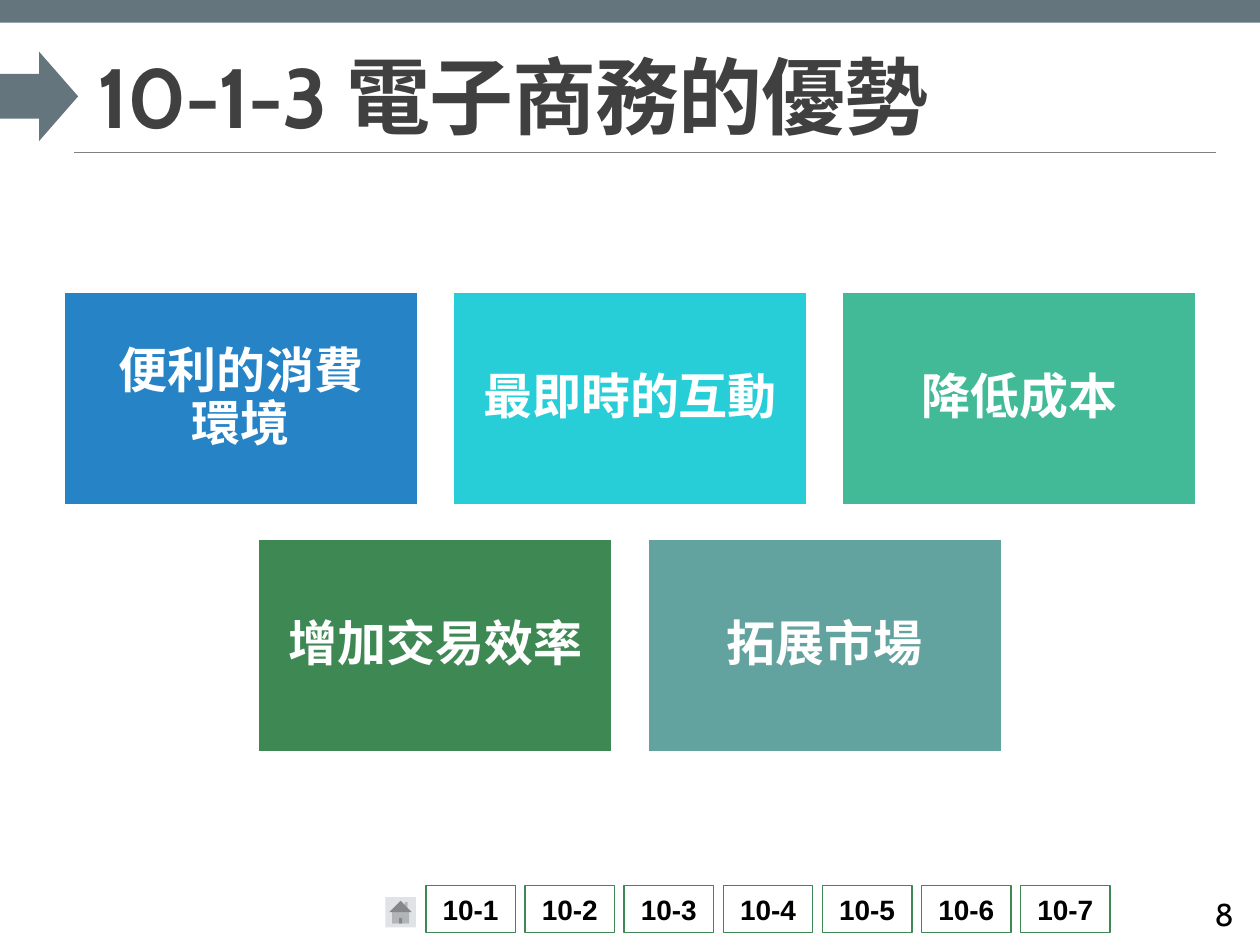
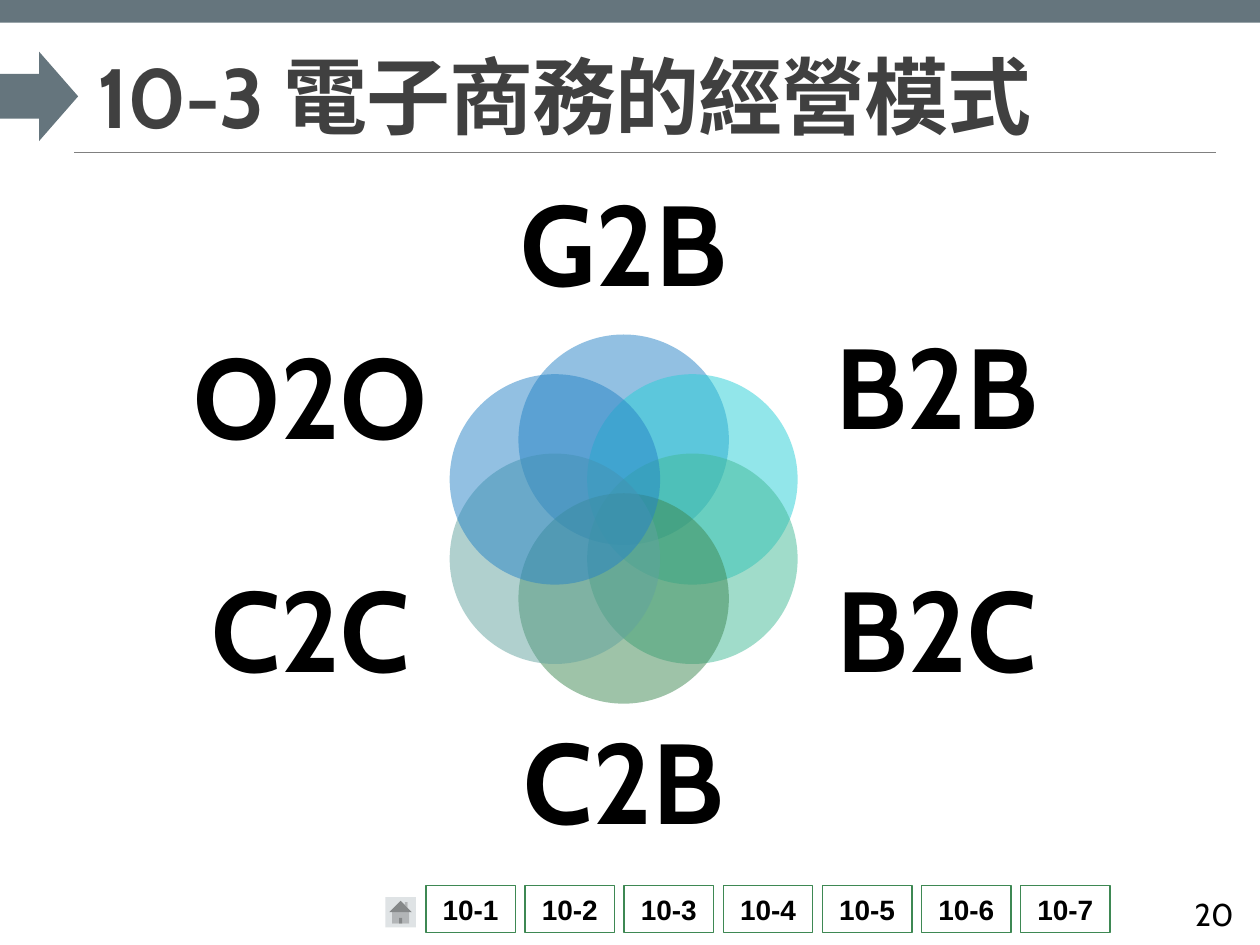
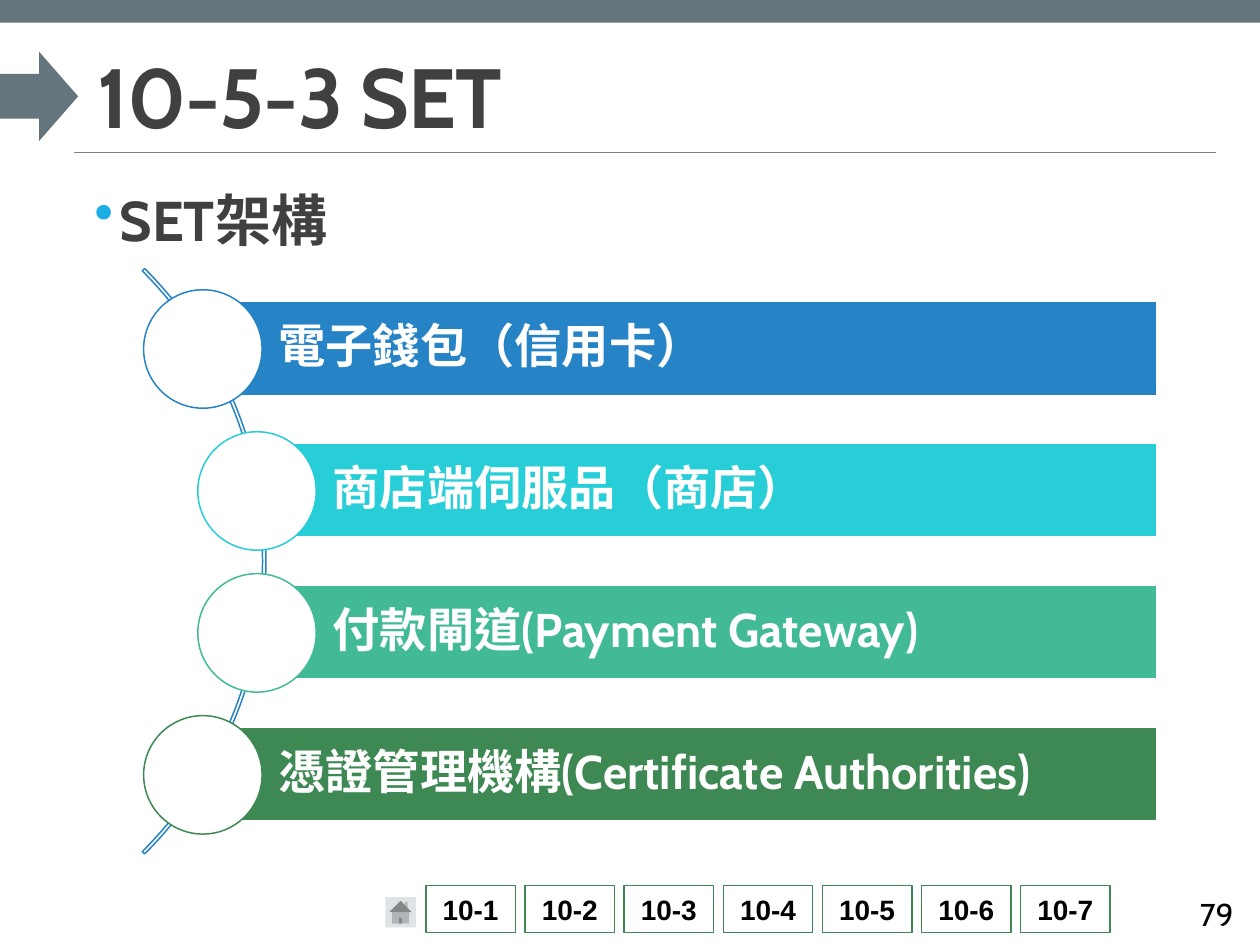
from math import cos, radians, sin

from lxml.etree import SubElement
from pptx import Presentation
from pptx.dml.color import RGBColor
from pptx.enum.shapes import MSO_CONNECTOR, MSO_SHAPE
from pptx.enum.text import MSO_ANCHOR, MSO_AUTO_SIZE, PP_ALIGN
from pptx.oxml.ns import qn
from pptx.util import Inches, Pt

# Colours
BLUE = RGBColor(0x26, 0x83, 0xC6)
CYAN = RGBColor(0x27, 0xCE, 0xD7)
MINT = RGBColor(0x42, 0xBA, 0x97)
GREEN = RGBColor(0x3E, 0x88, 0x53)
TEAL = RGBColor(0x62, 0xA3, 0x9F)
SLATE = RGBColor(0x65, 0x75, 0x7D)
PALE = RGBColor(0xDF, 0xE3, 0xE5)
GREY = RGBColor(0x80, 0x80, 0x80)
DARK = RGBColor(0x40, 0x40, 0x40)
BLACK = RGBColor(0, 0, 0)
WHITE = RGBColor(0xFF, 0xFF, 0xFF)
BULLET = "1CADE4"
ACCENTS = [BLUE, CYAN, MINT, GREEN, TEAL]

# Text formats
TITLE = {"name": "Cabin", "size": Pt(48), "bold": True, "color": DARK}
HEADING = {**TITLE, "size": Pt(32)}
CARD = {**TITLE, "size": Pt(28), "color": WHITE}
BAR = {**CARD, "size": Pt(27)}
MODEL = {**TITLE, "size": Pt(65), "color": BLACK}
NUMBER = {**MODEL, "size": Pt(18), "bold": False}
NAV = {**MODEL, "name": "Arial", "size": Pt(16)}


def inches(*values):
    return [Inches(v) for v in values]


def write(tf, text, style, align=PP_ALIGN.LEFT, anchor=MSO_ANCHOR.MIDDLE,
          insets=(0.1, 0.05, 0.1, 0.05), spacing=None):
    """Fill a text frame with one formatted paragraph."""
    frame = {"word_wrap": True, "auto_size": MSO_AUTO_SIZE.NONE, "vertical_anchor": anchor}
    sides = ("margin_left", "margin_top", "margin_right", "margin_bottom")
    frame.update(zip(sides, inches(*insets)))
    for key, value in frame.items():
        setattr(tf, key, value)
    p = tf.paragraphs[0]
    p.text = text
    p.alignment = align
    if spacing:
        p.line_spacing = spacing
    for r in p.runs:
        for key, value in style.items():
            if key == "color":
                r.font.color.rgb = value
            else:
                setattr(r.font, key, value)
        r.font._element.set("lang", "zh-TW")
    return p


def add_text(s, at, text, style, **options):
    return write(s.shapes.add_textbox(*inches(*at)).text_frame, text, style, **options)


def add_shape(s, kind, at, fill=None, line=None, width=0.85, alpha=None):
    sp = s.shapes.add_shape(kind, *inches(*at))
    sp.shadow.inherit = False
    if fill is None:
        sp.fill.background()
    else:
        sp.fill.solid()
        sp.fill.fore_color.rgb = fill
    if alpha is not None:
        color = sp._element.spPr.find(qn("a:solidFill"))[0]
        SubElement(color, qn("a:alpha"), val=str(alpha * 1000))
    if line is None:
        sp.line.fill.background()
    else:
        sp.line.color.rgb = line
        sp.line.width = Pt(width)
    return sp


def add_rule(s, x1, x2, y):
    rule = s.shapes.add_connector(MSO_CONNECTOR.STRAIGHT, *inches(x1, y, x2, y))
    rule.line.color.rgb = GREY
    rule.line.width = Pt(0.5)
    SubElement(rule._element.spPr, qn("a:effectLst"))


def add_bullet(p):
    pPr = p._p.get_or_add_pPr()
    pPr.set("marL", str(Inches(0.2)))
    pPr.set("indent", str(-Inches(0.2)))
    SubElement(SubElement(pPr, qn("a:buClr")), qn("a:srgbClr"), val=BULLET)
    SubElement(pPr, qn("a:buChar"), char="•")


def add_slide(prs, title, number):
    """Start a slide with the shared band, title, navigation and number."""
    s = prs.slides.add_slide(prs.slide_layouts[5])
    add_rule(s, 0.59, 9.65, 1.21)
    add_shape(s, MSO_SHAPE.RECTANGLE, (0, 0, 10, 0.18), SLATE)
    add_shape(s, MSO_SHAPE.RIGHT_ARROW, (0, 0.41, 0.62, 0.71), SLATE)

    # Chapter navigation
    add_shape(s, MSO_SHAPE.ACTION_BUTTON_HOME, (3.06, 7.12, 0.24, 0.24), PALE)
    for i in range(7):
        at = (3.38 + i * 4.72 / 6, 7.03, 0.71, 0.37)
        button = add_shape(s, MSO_SHAPE.RECTANGLE, at, WHITE, GREEN)
        write(button.text_frame, f"10-{i + 1}", NAV, align=PP_ALIGN.CENTER)

    # Title and slide number
    heading = s.shapes.title
    heading.left, heading.top, heading.width, heading.height = inches(0.67, 0.31, 8.98, 0.9)
    p = write(heading.text_frame, title, TITLE, anchor=MSO_ANCHOR.BOTTOM, spacing=0.85)
    for r in p.runs:
        r.font._element.set("spc", "-50")
    add_text(s, (8.81, 7.05, 1.08, 0.4), str(number), NUMBER, align=PP_ALIGN.RIGHT)
    return s


def add_cards(s, texts, per_row=3):
    """Lay out cards in centred rows."""
    width, height, gap = 2.81, 1.69, 0.28
    for i, text in enumerate(texts):
        row, col = divmod(i, per_row)
        count = min(per_row, len(texts) - row * per_row)
        left = 5 - (count * (width + gap) - gap) / 2 + col * (width + gap)
        at = (left, 2.32 + row * 1.96, width, height)
        card = add_shape(s, MSO_SHAPE.RECTANGLE, at, ACCENTS[i], WHITE, 1.2)
        write(card.text_frame, text, CARD, align=PP_ALIGN.CENTER,
              insets=(0.12,) * 4, spacing=0.9)


def add_model_ring(s, models):
    """Overlap circles clockwise from the top, each with its label."""
    size, radius, cx, cy = 1.67, 0.63, 4.95, 4.12
    for i, (text, at) in enumerate(models):
        angle = radians(60 * i - 90)
        left = cx + radius * cos(angle) - size / 2
        top = cy + radius * sin(angle) - size / 2
        add_shape(s, MSO_SHAPE.OVAL, (left, top, size, size),
                  ACCENTS[i % len(ACCENTS)], alpha=50)
        add_text(s, at, text, MODEL, align=PP_ALIGN.CENTER,
                 insets=(0,) * 4, spacing=0.9)


def add_arc_list(s, items):
    """Hang bars with round markers on an arc."""
    arc = add_shape(s, MSO_SHAPE.BLOCK_ARC, (-4.46, 1.17, 6.57, 6.57), line=BLUE)
    for i, value in enumerate((189, 27, 0.004)):
        arc.adjustments[i] = value
    right = 9.18
    for i, text in enumerate(items):
        left = 1.61 if i in (0, len(items) - 1) else 2.04
        top = 2.39 + i * 3.38 / 3
        bar = add_shape(s, MSO_SHAPE.RECTANGLE, (left, top, right - left, 0.75),
                        ACCENTS[i], WHITE, 1.2)
        write(bar.text_frame, text, BAR, insets=(0.6, 0.07, 0.07, 0.07), spacing=0.9)
        add_shape(s, MSO_SHAPE.OVAL, (left - 0.47, top - 0.09, 0.94, 0.94),
                  WHITE, ACCENTS[i])


def main():
    prs = Presentation()
    prs.slide_width, prs.slide_height = inches(10, 7.5)

    # Advantages
    s = add_slide(prs, "10-1-3 電子商務的優勢", 8)
    add_cards(s, ["便利的消費\v環境", "最即時的互動", "降低成本", "增加交易效率", "拓展市場"])

    # Business models
    s = add_slide(prs, "10-3 電子商務的經營模式", 20)
    add_model_ring(s, [
        ("G2B", (3.91, 1.42, 2.08, 1.13)),
        ("B2B", (6.45, 2.5, 1.97, 1.24)),
        ("B2C", (6.45, 4.35, 1.97, 1.39)),
        ("C2B", (3.91, 5.69, 2.08, 1.13)),
        ("C2C", (1.48, 4.35, 1.97, 1.39)),
        ("O2O", (1.48, 2.5, 1.97, 1.39)),
    ])

    # SET structure
    s = add_slide(prs, "10-5-3 SET", 79)
    p = add_text(s, (0.75, 1.42, 8.4, 5.41), "SET架構", HEADING, align=PP_ALIGN.JUSTIFY,
                 anchor=MSO_ANCHOR.TOP, insets=(0, 0.05, 0, 0.05))
    add_bullet(p)
    add_arc_list(s, ["電子錢包（信用卡）", "商店端伺服品（商店）", "付款閘道(Payment Gateway)",
                     "憑證管理機構(Certificate Authorities)"])

    prs.save("out.pptx")


if __name__ == "__main__":
    main()
